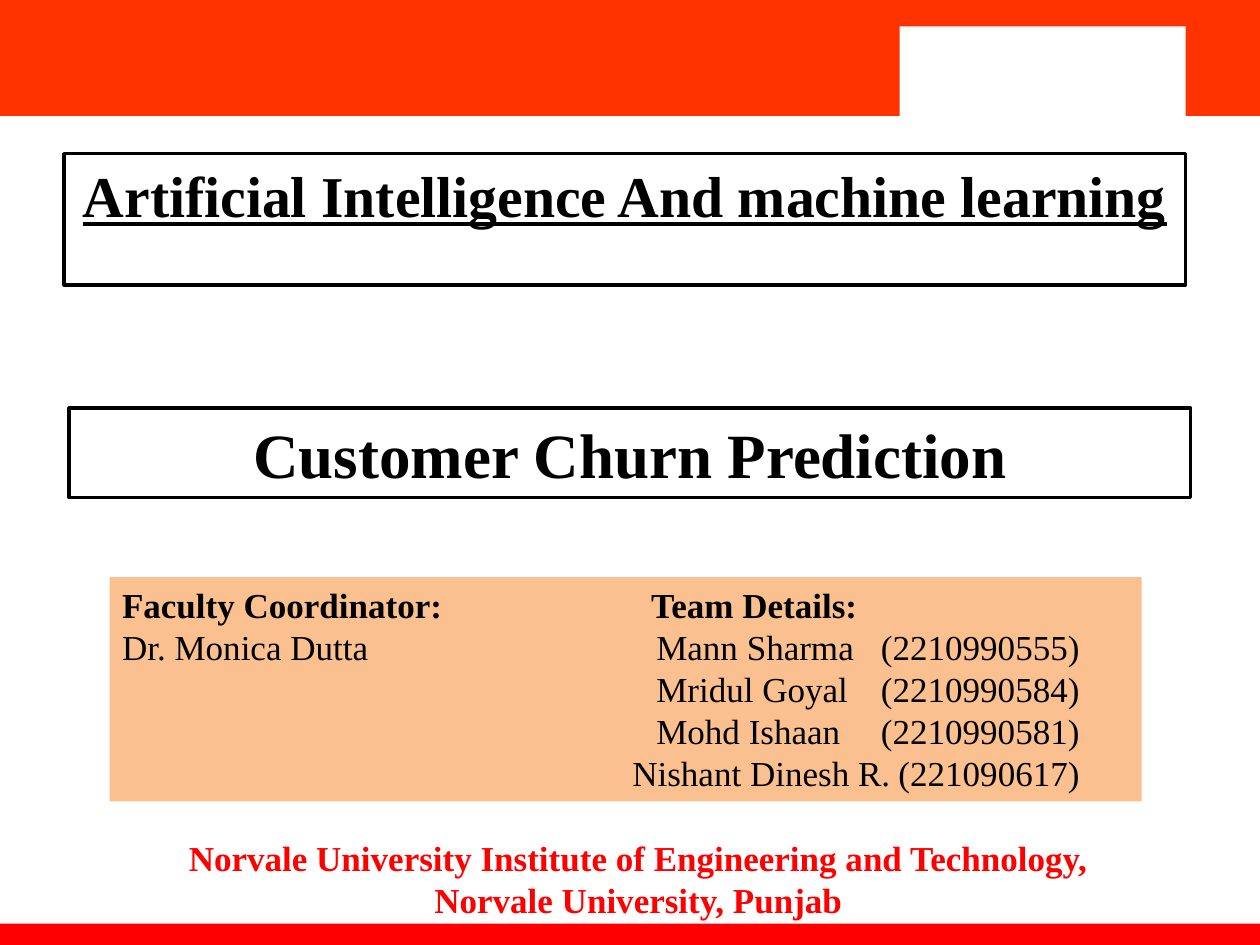
from pptx import Presentation
from pptx.dml.color import RGBColor
from pptx.enum.shapes import MSO_SHAPE as SHAPE
from pptx.enum.text import MSO_ANCHOR as ANCHOR, MSO_AUTO_SIZE as AUTO_SIZE, PP_ALIGN as ALIGN
from pptx.oxml.ns import qn
from pptx.util import Inches, Pt
from lxml import etree

ORANGE = RGBColor(0xFF, 0x33, 0x00)
RED = RGBColor(0xFF, 0x00, 0x00)
PEACH = RGBColor(0xFA, 0xC0, 0x90)
WHITE = RGBColor(0xFF, 0xFF, 0xFF)
BLACK = RGBColor(0x00, 0x00, 0x00)

prs = Presentation()
prs.slide_width, prs.slide_height = Inches(10), Inches(7.5)
slide = prs.slides.add_slide(prs.slide_layouts[5])


def add_block(left, top, width, height, fill):
    block = slide.shapes.add_shape(
        SHAPE.RECTANGLE, Inches(left), Inches(top), Inches(width), Inches(height))
    block.shadow.inherit = False
    block.fill.solid()
    block.fill.fore_color.rgb = fill
    block.line.fill.background()
    return block


def style(paragraph, size, color=BLACK, bold=True, align=ALIGN.LEFT):
    paragraph.alignment = align
    font = paragraph.font
    font.name, font.size, font.bold = "Times New Roman", Pt(size), bold
    font.color.rgb = color


# Header band with the white logo panel, and footer band
add_block(0, 0, 10, 0.92, ORANGE)
add_block(7.14, 0.21, 2.27, 0.75, WHITE)
add_block(0, 7.33, 10, 0.17, RED)

# Course title
course = slide.shapes.title
course.left, course.top = Inches(0.51), Inches(1.22)
course.width, course.height = Inches(8.9), Inches(1.04)
course.fill.solid()
course.fill.fore_color.rgb = WHITE
course.text_frame.text = "Artificial Intelligence And machine learning"
course.text_frame.auto_size = AUTO_SIZE.NONE
course.text_frame.vertical_anchor = ANCHOR.TOP
style(course.text_frame.paragraphs[0], 33, align=ALIGN.CENTER)
course.text_frame.paragraphs[0].font.underline = True

# Project name
project = add_block(0.55, 3.24, 8.9, 0.71, WHITE)
project.text_frame.text = "Customer Churn Prediction"
style(project.text_frame.paragraphs[0], 36, align=ALIGN.CENTER)

for framed in (course, project):
    framed.line.color.rgb = BLACK
    framed.line.width = Pt(2)

# Coordinator and team: text, then the tab stop of the second column in inches
people = add_block(0.87, 4.58, 8.19, 1.78, PEACH)
people.text_frame.vertical_anchor = ANCHOR.TOP
ROWS = [
    ("Faculty Coordinator:\tTeam Details:", 4.2),
    ("Dr. Monica Dutta\tMann Sharma\t(2210990555)", 4.24),
    ("\tMridul Goyal\t(2210990584)", 4.24),
    ("\tMohd Ishaan\t(2210990581)", 4.24),
    ("\tNishant Dinesh R.\t(221090617)", 4.05),
]
NUMBER_STOP = 7.6
people.text_frame.text = "\n".join(text for text, _ in ROWS)
for index, (row, (_, name_stop)) in enumerate(zip(people.text_frame.paragraphs, ROWS)):
    style(row, 20, bold=index == 0)
    stops = etree.Element(qn("a:tabLst"))
    for position, side in ((name_stop, "l"), (NUMBER_STOP, "r")):
        etree.SubElement(stops, qn("a:tab"), pos=str(Inches(position)), algn=side)
    row._p.get_or_add_pPr().insert(0, stops)

# Institute
institute = slide.shapes.add_textbox(Inches(1.4), Inches(6.59), Inches(7.57), Inches(0.77))
institute.text_frame.word_wrap = False
institute.text_frame.text = (
    "Norvale University Institute of Engineering and Technology,\n"
    "Norvale University, Punjab")
for line, align in zip(institute.text_frame.paragraphs, (ALIGN.LEFT, ALIGN.CENTER)):
    style(line, 20, RED, align=align)

prs.save("out.pptx")
